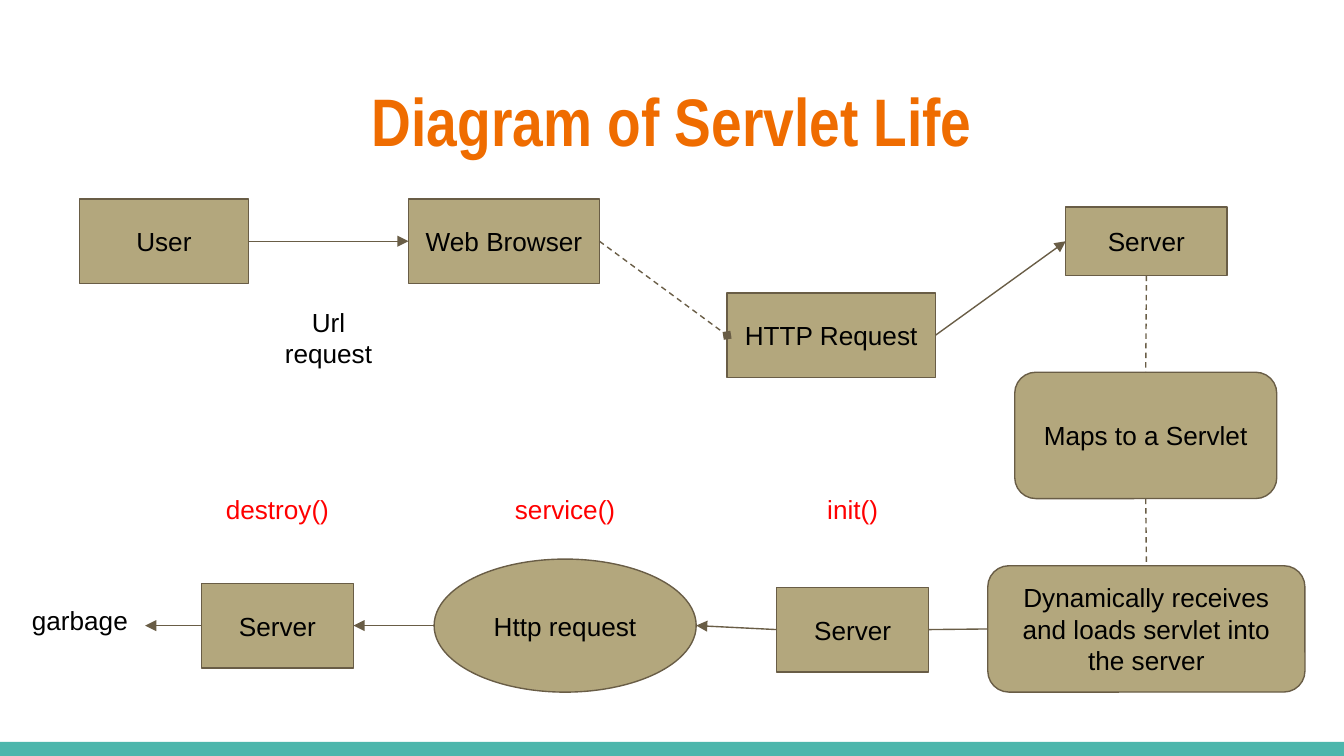
from pptx import Presentation
from pptx.dml.color import RGBColor
from pptx.enum import dml, shapes, text
from pptx.oxml.ns import qn
from pptx.util import Inches, Pt
from lxml import etree

TITLE = "Diagram of Servlet Life"
TAN, BROWN, TEAL = "B3A77D", "695D46", "4DB6AC"
ORANGE, RED, BLACK = "EF6C00", "FF0000", "000000"
RECT = shapes.MSO_SHAPE.RECTANGLE
ROUND = shapes.MSO_SHAPE.ROUNDED_RECTANGLE
OVAL = shapes.MSO_SHAPE.OVAL

# key: (text, shape, left, top, width, height)
NODES = {
    "user": ("User", RECT, 0.59, 1.48, 1.26, 0.63),
    "browser": ("Web Browser", RECT, 3.04, 1.48, 1.42, 0.63),
    "http": ("HTTP Request", RECT, 5.41, 2.18, 1.55, 0.63),
    "server": ("Server", RECT, 7.93, 1.54, 1.2, 0.51),
    "maps": ("Maps to a Servlet", ROUND, 7.55, 2.77, 1.95, 0.94),
    "load": ("Dynamically receives and loads servlet into the server",
             ROUND, 7.35, 4.21, 2.36, 0.94),
    "init": ("Server", RECT, 5.78, 4.37, 1.13, 0.63),
    "service": ("Http request", OVAL, 3.23, 4.16, 1.95, 0.99),
    "destroy": ("Server", RECT, 1.5, 4.34, 1.13, 0.63),
}
# key: (text, colour, left, top, width)
LABELS = {
    "init()": ("init()", RED, 5.78, 3.57, 1.13),
    "service()": ("service()", RED, 3.64, 3.57, 1.13),
    "garbage": ("garbage", BLACK, 0.11, 4.4, 0.97),
    "destroy()": ("destroy()", RED, 1.5, 3.57, 1.13),
    "url": ("Url request", BLACK, 1.88, 2.18, 1.13),
}
# (from, side, to, side, dashed, arrowhead)
LINKS = [
    ("user", "right", "browser", "left", False, "triangle"),
    ("browser", "right", "http", "left", True, "diamond"),
    ("http", "right", "server", "left", False, "triangle"),
    ("server", "bottom", "maps", "top", True, None),
    ("maps", "bottom", "load", "top", True, None),
    ("load", "left", "init", "right", False, None),
    ("init", "left", "service", "right", False, "triangle"),
    ("service", "left", "destroy", "right", False, "triangle"),
    ("destroy", "left", "garbage", "right", False, "triangle"),
]
SIDES = {"top": (0, 0.5, 0), "left": (1, 0, 0.5),
         "bottom": (2, 0.5, 1), "right": (3, 1, 0.5)}  # site, x and y share


def color(code):
    return RGBColor.from_string(code)


def write(shape, words, code, size=14, font="Arial", bold=False,
          anchor=text.MSO_ANCHOR.TOP):
    frame = shape.text_frame
    frame.text = words
    frame.word_wrap = True
    frame.auto_size = text.MSO_AUTO_SIZE.NONE
    frame.vertical_anchor = anchor
    frame.margin_left = frame.margin_right = Inches(0.1)
    frame.margin_top = frame.margin_bottom = Inches(0.1)
    para = frame.paragraphs[0]
    para.alignment = text.PP_ALIGN.CENTER
    face = para.runs[0].font
    face.name, face.size, face.bold = font, Pt(size), bold
    face.color.rgb = color(code)


def draw(kind, box, fill, line=None):
    shape = slide.shapes.add_shape(kind, *map(Inches, box))
    shape.shadow.inherit = False
    shape.fill.solid()
    shape.fill.fore_color.rgb = color(fill)
    if line:
        shape.line.color.rgb = color(line)
        shape.line.width = Pt(0.75)
    else:
        shape.line.fill.background()
    return shape


def point(shape, side):
    _, x, y = SIDES[side]
    return (int(shape.left + x * shape.width),
            int(shape.top + y * shape.height))


def link(start, side, end, goal, dashed, head):
    a, b = parts[start], parts[end]
    wire = slide.shapes.add_connector(
        shapes.MSO_CONNECTOR.STRAIGHT, *point(a, side), *point(b, goal))
    # An oval numbers its sites differently, so only the others are glued
    if a not in ovals:
        wire.begin_connect(a, SIDES[side][0])
    if b not in ovals:
        wire.end_connect(b, SIDES[goal][0])
    wire.line.color.rgb = color(BROWN)
    wire.line.width = Pt(0.75)
    if dashed:
        wire.line.dash_style = dml.MSO_LINE.DASH
    if head:
        etree.SubElement(wire.line._get_or_add_ln(), qn("a:tailEnd"),
                         type=head, w="med", len="med")
    etree.SubElement(wire._element.spPr, qn("a:effectLst"))


# Slide (16:9), footer bar and title
deck = Presentation()
deck.slide_width = Inches(10)
deck.slide_height = Inches(10 * 9 / 16)
slide = deck.slides.add_slide(deck.slide_layouts[5])
draw(RECT, (0, 5.52, 10, 0.11), TEAL)
title = slide.shapes.title
title.left, title.top = Inches(0.34), Inches(0.49)
title.width, title.height = Inches(9.32), Inches(0.77)
write(title, TITLE, ORANGE, 36, "Arial Narrow", True)

# Nodes and labels
parts, ovals = {}, []
for key, (words, kind, *box) in NODES.items():
    parts[key] = draw(kind, box, TAN, BROWN)
    write(parts[key], words, BLACK, anchor=text.MSO_ANCHOR.MIDDLE)
    if kind == OVAL:
        ovals.append(parts[key])
for key, (words, code, *box) in LABELS.items():
    parts[key] = slide.shapes.add_textbox(*map(Inches, (*box, 0.51)))
    write(parts[key], words, code)

# Links
for row in LINKS:
    link(*row)

deck.save("out.pptx")
